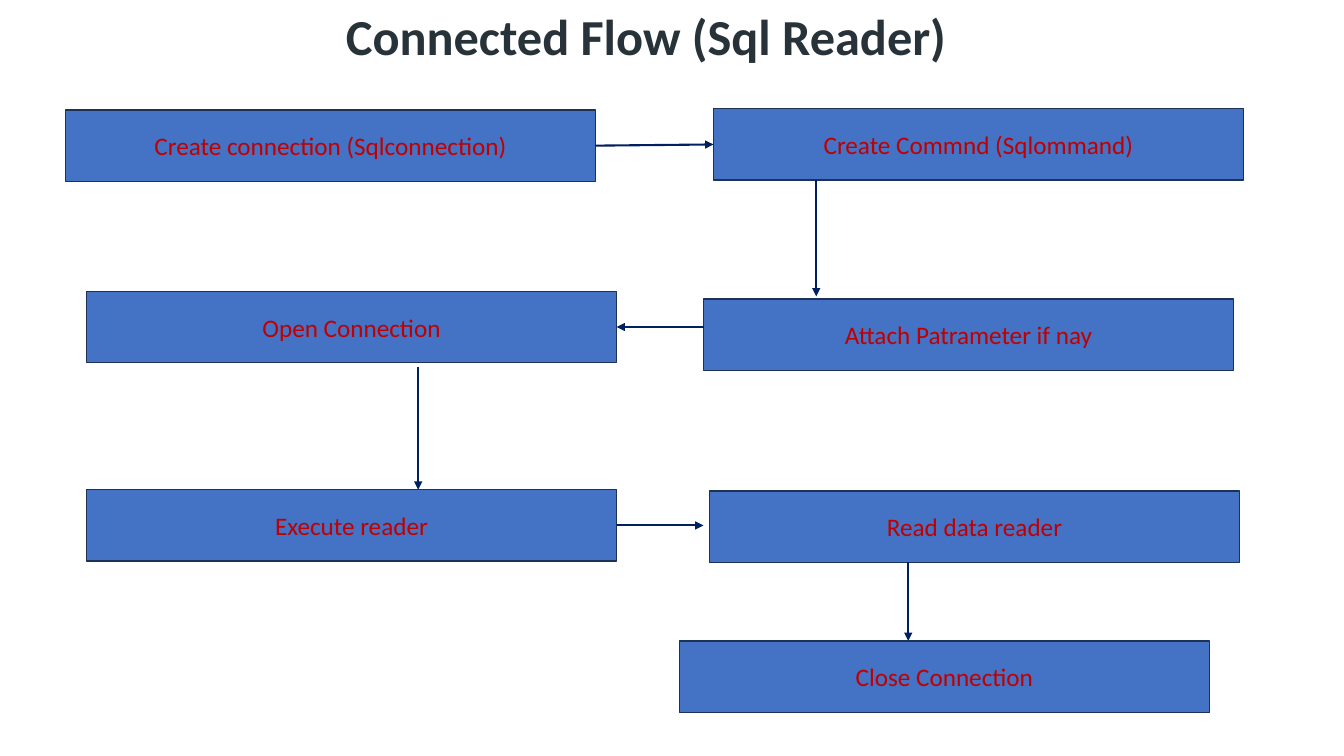
from typing import NamedTuple, Optional

from lxml.etree import SubElement
from pptx import Presentation
from pptx.dml.color import RGBColor
from pptx.enum.shapes import MSO_CONNECTOR as LINK, MSO_SHAPE as SHAPE
from pptx.enum.text import MSO_ANCHOR as ANCHOR, MSO_AUTO_SIZE as FIT, PP_ALIGN as ALIGN
from pptx.oxml.ns import qn
from pptx.shapes.autoshape import Shape
from pptx.slide import Slide
from pptx.text.text import TextFrame
from pptx.util import Cm, Pt

WIDTH, HEIGHT = 13.36, 1.8  # every step box, in cm
LEFT, RIGHT = 1, 3  # connection sites


class Step(NamedTuple):
    text: str
    x: float
    y: float


class Site(NamedTuple):
    step: str
    side: int


class Arrow(NamedTuple):
    start: tuple[float, float]
    end: tuple[float, float]
    tail: Optional[Site] = None
    head: Optional[Site] = None


# Flow content, lengths in cm
STEPS = [
    Step("Create connection (Sqlconnection)", 1.65, 2.77),
    Step("Create Commnd (Sqlommand)", 17.98, 2.74),
    Step("Attach Patrameter if nay", 17.73, 7.54),
    Step("Open Connection", 2.18, 7.34),
    Step("Execute reader", 2.18, 12.34),
    Step("Read data reader", 17.88, 12.37),
    Step("Close Connection", 17.12, 16.15),
]
ARROWS = [
    Arrow((15.01, 3.67), (17.98, 3.64),
          Site("Create connection (Sqlconnection)", RIGHT),
          Site("Create Commnd (Sqlommand)", LEFT)),
    Arrow((20.57, 4.54), (20.57, 7.47)),
    Arrow((17.73, 8.24), (15.54, 8.24), head=Site("Open Connection", RIGHT)),
    Arrow((10.54, 9.25), (10.54, 12.34)),
    Arrow((15.54, 13.24), (17.73, 13.24), tail=Site("Execute reader", RIGHT)),
    Arrow((22.89, 14.17), (22.89, 16.15)),
]


def color(code: str) -> RGBColor:
    return RGBColor.from_string(code)


def write(frame: TextFrame, text: str, size: float, code: str, bold: bool = False) -> None:
    frame.text = text
    line = frame.paragraphs[0]
    line.alignment = ALIGN.CENTER
    font = line.runs[0].font
    font.name, font.size, font.bold = "Calibri", Pt(size), bold
    font.color.rgb = color(code)


def add_title(slide: Slide, text: str) -> None:
    frame = slide.shapes.add_textbox(Cm(8.08), Cm(0), Cm(16.41), Cm(1.8)).text_frame
    frame.word_wrap = True
    frame.auto_size = FIT.SHAPE_TO_FIT_TEXT
    write(frame, text, 36, "273239", bold=True)


def add_step(slide: Slide, step: Step) -> Shape:
    box = slide.shapes.add_shape(
        SHAPE.RECTANGLE, Cm(step.x), Cm(step.y), Cm(WIDTH), Cm(HEIGHT))
    box.shadow.inherit = False
    box.fill.solid()
    box.fill.fore_color.rgb = color("4472C4")
    box.line.color.rgb = color("1E3256")
    box.line.width = Pt(1)
    box.text_frame.vertical_anchor = ANCHOR.MIDDLE
    write(box.text_frame, step.text, 18, "C00000")
    return box


def add_arrow(slide: Slide, arrow: Arrow, boxes: dict[str, Shape]) -> None:
    ends = [Cm(value) for value in arrow.start + arrow.end]
    link = slide.shapes.add_connector(LINK.STRAIGHT, *ends)
    link.line.color.rgb = color("002060")
    link.line.width = Pt(1.5)
    if arrow.tail:
        link.begin_connect(boxes[arrow.tail.step], arrow.tail.side)
    if arrow.head:
        link.end_connect(boxes[arrow.head.step], arrow.head.side)
    # Arrowhead, then an empty effect list to drop the shadow
    SubElement(link.line._get_or_add_ln(), qn("a:tailEnd"), type="triangle")
    SubElement(link._element.spPr, qn("a:effectLst"))


def main() -> None:
    deck = Presentation()
    deck.slide_width, deck.slide_height = Cm(33.87), Cm(19.05)
    slide = deck.slides.add_slide(deck.slide_layouts[6])

    # Title, steps, then the arrows between them
    add_title(slide, "Connected Flow (Sql Reader)")
    boxes = {step.text: add_step(slide, step) for step in STEPS}
    for arrow in ARROWS:
        add_arrow(slide, arrow, boxes)

    deck.save("out.pptx")


if __name__ == "__main__":
    main()
